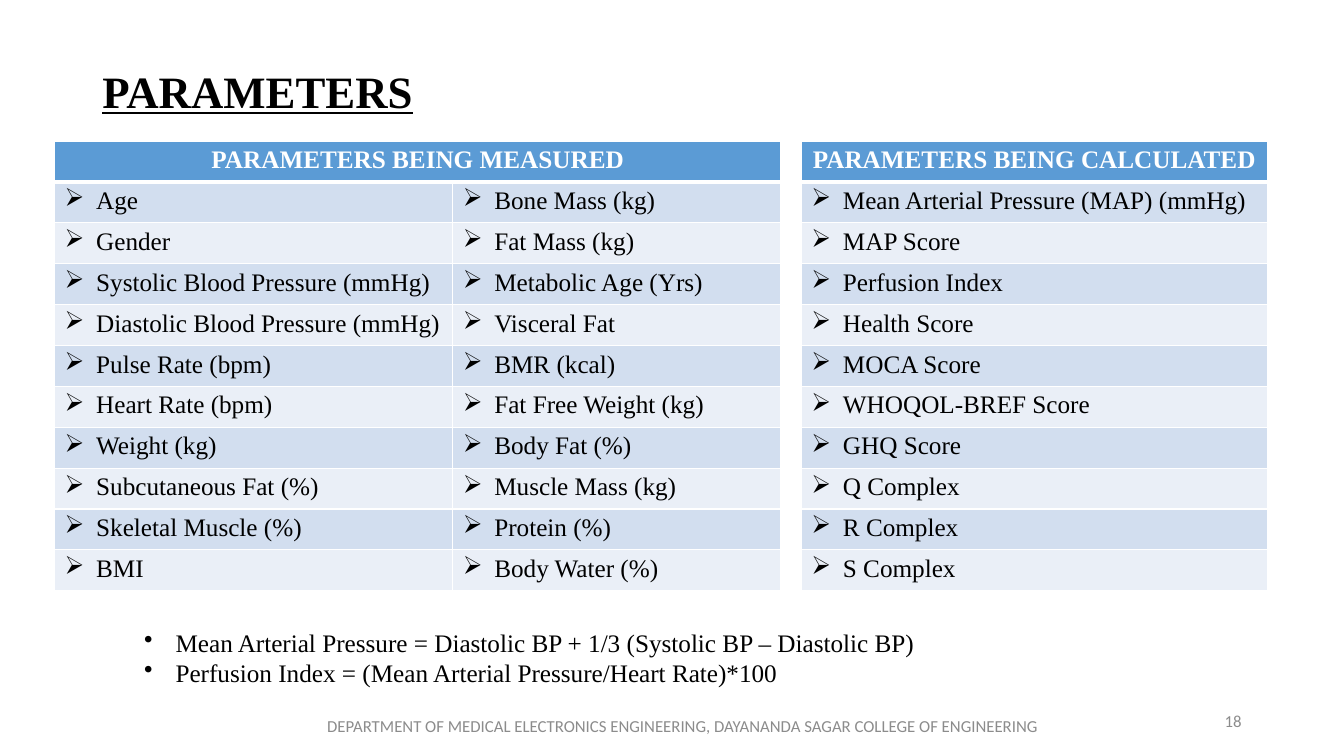
from pptx import Presentation
from pptx import util as u
from pptx.dml import color
from pptx.enum import text
from pptx.oxml import ns
from lxml import etree

SERIF = "Times New Roman"
SANS = "Calibri"
BLACK, WHITE, GREY = "000000", "FFFFFF", "8C8C8C"
HEADER_BLUE = "5B9BD5"
BANDS = ("D2DEEF", "EAEFF7")
ROW_HEIGHT = 29.2
INDENT = 22.5
CENTER, RIGHT = text.PP_ALIGN.CENTER, text.PP_ALIGN.RIGHT

MEASURED = [
    ("Age", "Bone Mass (kg)"),
    ("Gender", "Fat Mass (kg)"),
    ("Systolic Blood Pressure (mmHg)", "Metabolic Age (Yrs)"),
    ("Diastolic Blood Pressure (mmHg)", "Visceral Fat"),
    ("Pulse Rate (bpm)", "BMR (kcal)"),
    ("Heart Rate (bpm)", "Fat Free Weight (kg)"),
    ("Weight (kg)", "Body Fat (%)"),
    ("Subcutaneous Fat (%)", "Muscle Mass (kg)"),
    ("Skeletal Muscle (%)", "Protein (%)"),
    ("BMI", "Body Water (%)"),
]
CALCULATED = [
    ("Mean Arterial Pressure (MAP) (mmHg)",),
    ("MAP Score",),
    ("Perfusion Index",),
    ("Health Score",),
    ("MOCA Score",),
    ("WHOQOL-BREF Score",),
    ("GHQ Score",),
    ("Q Complex",),
    ("R Complex",),
    ("S Complex",),
]
FORMULAS = [
    "Mean Arterial Pressure = Diastolic BP + 1/3 (Systolic BP – Diastolic BP)",
    "Perfusion Index = (Mean Arterial Pressure/Heart Rate)*100",
]


def rgb(code):
    return color.RGBColor.from_string(code)


class SlideBuilder:
    def __init__(self, slide):
        self.slide = slide

    def add_words(self, paragraph, words, size=18, font=SERIF, ink=BLACK, bold=False,
                  underline=False, align=None, bullet=None, spacing=None):
        if bullet:
            properties = paragraph._p.get_or_add_pPr()
            properties.set("marL", str(u.Pt(INDENT)))
            properties.set("indent", str(-u.Pt(INDENT)))
            etree.SubElement(properties, ns.qn("a:buChar"), char=bullet)
        if align is not None:
            paragraph.alignment = align
        if spacing:
            paragraph.line_spacing = spacing
        run = paragraph.add_run()
        run.text = words
        run.font.size = u.Pt(size)
        run.font.name = font
        run.font.bold = bold
        run.font.underline = underline
        run.font.color.rgb = rgb(ink)

    def text_box(self, left, top, width, height, lines, anchor=text.MSO_ANCHOR.TOP, **style):
        frame = self.slide.shapes.add_textbox(
            u.Pt(left), u.Pt(top), u.Pt(width), u.Pt(height)).text_frame
        frame.word_wrap = True
        frame.vertical_anchor = anchor
        for index, line in enumerate(lines):
            paragraph = frame.add_paragraph() if index else frame.paragraphs[0]
            self.add_words(paragraph, line, **style)

    def footer(self, left, top, width, words, align):
        self.text_box(left, top, width, 28.8, [words], anchor=text.MSO_ANCHOR.MIDDLE,
                      size=12, font=SANS, ink=GREY, align=align)

    def paint_cell(self, cell, fill, top=1, bottom=1):
        properties = cell._tc.get_or_add_tcPr()
        for side, weight in (("L", 1), ("R", 1), ("T", top), ("B", bottom)):
            border = etree.SubElement(properties, ns.qn(f"a:ln{side}"), w=str(u.Pt(weight)))
            paint = etree.SubElement(border, ns.qn("a:solidFill"))
            etree.SubElement(paint, ns.qn("a:srgbClr"), val=WHITE)
        cell.fill.solid()
        cell.fill.fore_color.rgb = rgb(fill)

    def parameter_table(self, left, top, widths, heading, rows):
        count = len(rows) + 1
        table = self.slide.shapes.add_table(
            count, len(widths), u.Pt(left), u.Pt(top),
            u.Pt(sum(widths)), u.Pt(count * ROW_HEIGHT)).table
        for row in table.rows:
            row.height = u.Pt(ROW_HEIGHT)
        for index, width in enumerate(widths):
            table.columns[index].width = u.Pt(width)
            self.paint_cell(table.cell(0, index), HEADER_BLUE, bottom=3)
        title = table.cell(0, 0)
        if len(widths) > 1:
            title.merge(table.cell(0, len(widths) - 1))
        self.add_words(title.text_frame.paragraphs[0], heading, ink=WHITE, bold=True, align=CENTER)
        for number, parameters in enumerate(rows, 1):
            for index, parameter in enumerate(parameters):
                cell = table.cell(number, index)
                self.paint_cell(cell, BANDS[(number - 1) % 2], top=3 if number == 1 else 1)
                self.add_words(cell.text_frame.paragraphs[0], parameter, bullet="➢")


def main():
    deck = Presentation()
    deck.slide_width, deck.slide_height = u.Pt(960), u.Pt(540)
    page = SlideBuilder(deck.slides.add_slide(deck.slide_layouts[6]))
    page.footer(221.8, 504, 532, "DEPARTMENT OF MEDICAL ELECTRONICS ENGINEERING, "
                "DAYANANDA SAGAR COLLEGE OF ENGINEERING", CENTER)
    page.text_box(66, 46, 828, 65.5, ["PARAMETERS"], size=32, bold=True,
                  underline=True, spacing=0.9)
    page.parameter_table(39, 100.8, [284.4, 234.4], "PARAMETERS BEING MEASURED", MEASURED)
    page.parameter_table(572.4, 100.8, [332.8], "PARAMETERS BEING CALCULATED", CALCULATED)
    page.text_box(95.8, 444.3, 798.5, 51, FORMULAS, bullet="•")
    page.footer(678, 500.5, 216, "18", RIGHT)
    deck.save("out.pptx")


if __name__ == "__main__":
    main()
